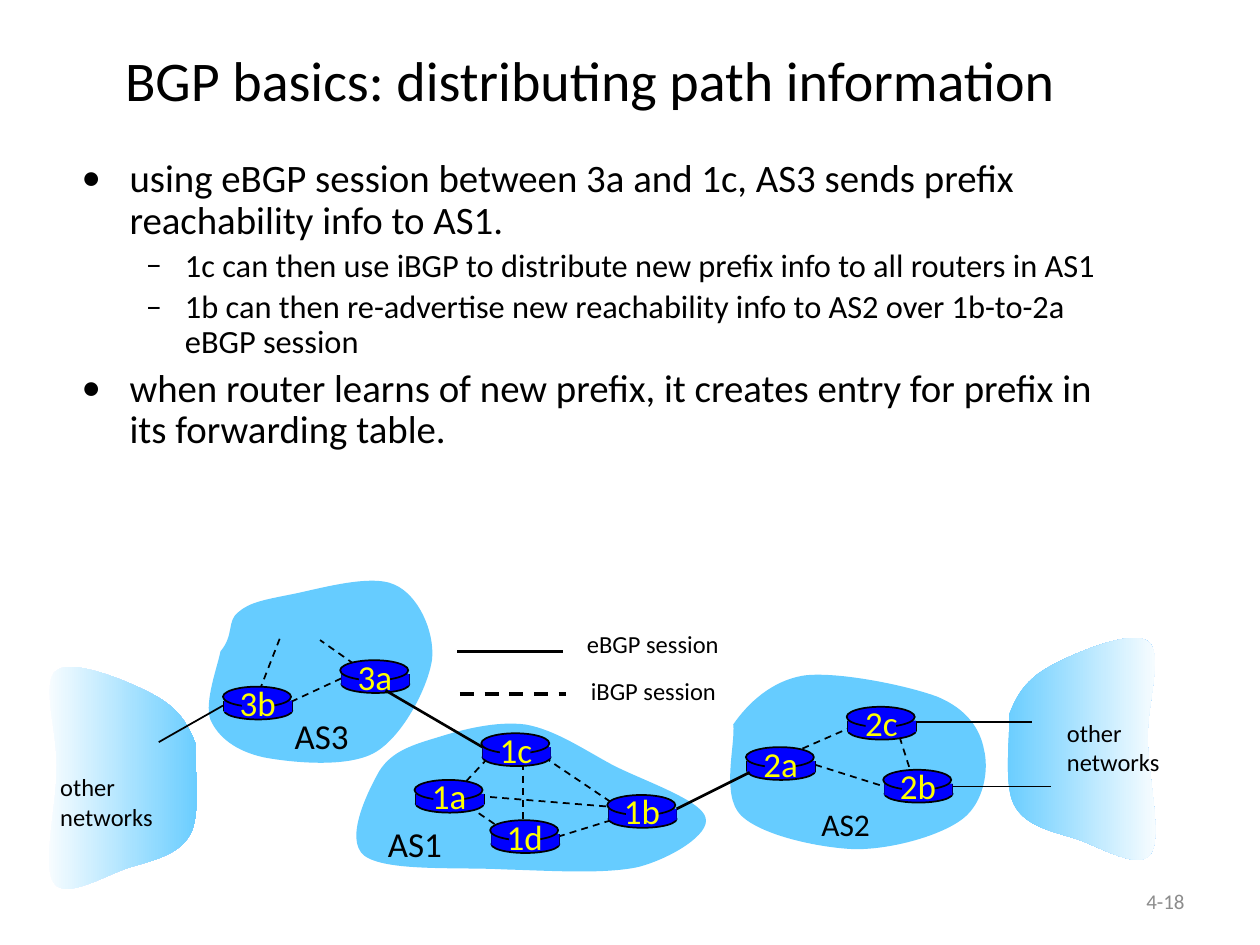
import pptx
import pptx.util
import pptx.dml.color
import pptx.enum.dml
import pptx.enum.shapes
import pptx.enum.text
import pptx.oxml
import pptx.oxml.ns

Inches, Pt = pptx.util.Inches, pptx.util.Pt
Shape = pptx.enum.shapes.MSO_SHAPE
Align = pptx.enum.text.PP_ALIGN
Anchor = pptx.enum.text.MSO_ANCHOR

FONT = "Calibri"
BLACK, WHITE, GREY, YELLOW = "000000", "FFFFFF", "8C8C8C", "FFFF00"
CLOUD_BLUE, ROUTER_BLUE = "66CCFF", "0000FF"

TITLE = "BGP basics: distributing path information"
PAGE_NUMBER = "4-18"
# level, wording
BULLETS = [
    (0, "using eBGP session between 3a and 1c, AS3 sends prefix reachability info to AS1."),
    (1, "1c can then use iBGP to distribute new prefix info to all routers in AS1"),
    (1, "1b can then re-advertise new reachability info to AS2 over 1b-to-2a eBGP session"),
    (0, "when router learns of new prefix, it creates entry for prefix in its forwarding table."),
]
# per level: size, left margin, hanging indent, bullet
LEVELS = [(22.2, 0.38, 0.38, "\u2022"), (18.5, 0.82, 0.31, "\u2013")]

# Each cloud is a closed chain of cubic curves: start, then control, control, end
OTHER_NETWORK = [
    (8.01, 5.67), (8.07, 5.51), (8.15, 5.39), (8.33, 5.29), (8.51, 5.19), (8.98, 4.99),
    (9.11, 5.09), (9.24, 5.18), (9.1, 5.59), (9.11, 5.87), (9.11, 6.16), (9.23, 6.65),
    (9.13, 6.78), (9.04, 6.91), (8.73, 6.72), (8.55, 6.66), (8.36, 6.6), (8.14, 6.56),
    (8.05, 6.39), (7.96, 6.23), (8.02, 5.82), (8.01, 5.67)]
AS_CLOUDS = {
    "AS2": [
        (5.82, 5.75), (5.93, 5.59), (6.12, 5.4), (6.39, 5.36), (6.66, 5.33), (7.2, 5.44),
        (7.44, 5.53), (7.68, 5.63), (7.78, 5.79), (7.81, 5.95), (7.85, 6.11), (7.81, 6.37),
        (7.64, 6.5), (7.47, 6.63), (7.09, 6.74), (6.79, 6.74), (6.5, 6.73), (6.04, 6.63),
        (5.88, 6.47), (5.72, 6.31), (5.84, 5.9), (5.82, 5.75)],
    "AS3": [
        (1.75, 5.17), (1.86, 5.04), (1.8, 4.93), (1.89, 4.86), (1.98, 4.78), (2.1, 4.76),
        (2.3, 4.72), (2.51, 4.68), (2.94, 4.55), (3.13, 4.64), (3.32, 4.72), (3.45, 5.01),
        (3.43, 5.23), (3.4, 5.45), (3.2, 5.84), (2.98, 5.97), (2.76, 6.1), (2.3, 6.05),
        (2.09, 6.01), (1.87, 5.96), (1.73, 5.85), (1.67, 5.71), (1.62, 5.57), (1.73, 5.28),
        (1.75, 5.17)],
    "AS1": [
        (3.01, 6.12), (3.11, 5.96), (3.28, 5.91), (3.48, 5.85), (3.67, 5.79), (3.94, 5.72),
        (4.17, 5.75), (4.4, 5.79), (4.62, 5.94), (4.86, 6.07), (5.09, 6.19), (5.57, 6.35),
        (5.6, 6.49), (5.64, 6.62), (5.33, 6.81), (5.07, 6.88), (4.8, 6.94), (4.36, 6.91),
        (4, 6.9), (3.64, 6.88), (3.06, 6.92), (2.89, 6.79), (2.73, 6.66), (2.92, 6.28),
        (3.01, 6.12)],
}
# text, left, top, width, height, size
LABELS = [
    ("AS3", 2.24, 5.62, 0.77, 0.43, 20), ("AS2", 6.42, 6.34, 0.71, 0.4, 18),
    ("AS1", 2.98, 6.48, 0.72, 0.43, 20),
    ("other\nnetworks", 8.37, 5.65, 1.03, 0.57, 14),
    ("other\nnetworks", 0.38, 6.08, 1.03, 0.57, 14),
    ("eBGP session", 4.56, 4.94, 1.37, 0.33, 14), ("iBGP session", 4.59, 5.32, 1.32, 0.33, 14),
]
# left and top of each router's upper disc
ROUTERS = {
    "3b": (1.77, 5.45), "3a": (2.7, 5.24), "1c": (3.82, 5.82), "1a": (3.29, 6.19),
    "1d": (3.89, 6.51), "1b": (4.82, 6.31), "2a": (5.92, 5.93), "2c": (6.72, 5.61),
    "2b": (7.01, 6.11)}
# x1, y1, x2, y2
IBGP_LINKS = [
    (2.31, 5.57, 2.74, 5.37), (2.81, 5.27, 2.54, 5.08), (2.22, 5.07, 2.06, 5.48),
    (3.87, 6.02, 3.7, 6.2), (4.15, 6.06, 4.15, 6.56), (4.32, 6.01, 4.87, 6.38),
    (4.85, 6.51, 4.43, 6.64), (4.81, 6.4, 3.82, 6.32), (3.72, 6.4, 3.94, 6.55),
    (6.28, 5.98, 6.76, 5.77), (6.47, 6.07, 7.01, 6.24), (7.14, 5.85, 7.22, 6.1)]
OUTSIDE_LINKS = [
    (7.26, 5.73, 8.19, 5.73, 0.75), (7.53, 6.24, 8.34, 6.24, 0.75), (1.77, 5.6, 1.26, 5.89, 1)]
EBGP_LINKS = [(3.06, 5.48, 3.83, 5.93), (5.37, 6.42, 5.95, 6.13)]


def color(value):
    """Turn a hex string into a colour."""
    return pptx.dml.color.RGBColor.from_string(value)


def drawing(tag, attributes=""):
    """Make an empty DrawingML element."""
    return pptx.oxml.parse_xml(
        "<a:%s %s %s/>" % (tag, pptx.oxml.ns.nsdecls("a"), attributes))


def add_text(parent, text, left, top, width, height, size, ink=BLACK, align=Align.LEFT,
             anchor=Anchor.TOP, wrap=False):
    """Add a text box and return its frame."""
    frame = parent.add_textbox(Inches(left), Inches(top), Inches(width), Inches(height)).text_frame
    frame.text = text
    frame.word_wrap = wrap
    frame.vertical_anchor = anchor
    if not wrap:
        frame.auto_size = pptx.enum.text.MSO_AUTO_SIZE.SHAPE_TO_FIT_TEXT
    for paragraph in frame.paragraphs:
        paragraph.alignment = align
        for run in paragraph.runs:
            run.font.name, run.font.size = FONT, Pt(size)
            run.font.color.rgb = color(ink)
    return frame


def add_line(parent, x1, y1, x2, y2, weight=1, dashed=False):
    """Draw a straight black line without shadow."""
    line = parent.add_connector(pptx.enum.shapes.MSO_CONNECTOR.STRAIGHT,
                                Inches(x1), Inches(y1), Inches(x2), Inches(y2))
    line.line.color.rgb = color(BLACK)
    line.line.width = Pt(weight)
    if dashed:
        line.line.dash_style = pptx.enum.dml.MSO_LINE.DASH
    line._element.spPr.append(drawing("effectLst"))


def add_part(parent, kind, left, top, width, height, outlined):
    """Add one blue piece of a router."""
    part = parent.add_shape(kind, Inches(left), Inches(top), Inches(width), Inches(height))
    part.shadow.inherit = False
    part.fill.solid()
    part.fill.fore_color.rgb = color(ROUTER_BLUE)
    if outlined:
        part.line.color.rgb = color(BLACK)
        part.line.width = Pt(1)
    else:
        part.line.fill.background()


def add_router(parent, name, left, top):
    """Build a grouped router disc with its name."""
    router = parent.add_group_shape().shapes
    wall = left + 0.01
    add_part(router, Shape.OVAL, wall, top + 0.12, 0.54, 0.14, True)
    for x in (wall, wall + 0.54):
        add_line(router, x, top + 0.11, x, top + 0.19)
    add_part(router, Shape.RECTANGLE, wall, top + 0.11, 0.54, 0.09, False)
    add_part(router, Shape.OVAL, left, top, 0.54, 0.16, True)
    add_part(router, Shape.RECTANGLE, left + 0.15, top + 0.02, 0.24, 0.21, False)
    label = add_text(router, name, left + 0.03, top - 0.09, 0.49, 0.44, 20, YELLOW, Align.CENTER)
    label.margin_left = label.margin_right = Inches(0.05)


def add_cloud(parent, curve, stops=None):
    """Trace a chain of cubic curves as a filled outline."""
    points = [(Inches(x), Inches(y)) for x, y in curve]
    builder = parent.build_freeform(*points[0], scale=1.0)
    builder.add_line_segments(points[1:], close=True)
    cloud = builder.convert_to_shape()
    segments = list(cloud._element.iter(pptx.oxml.ns.qn("a:lnTo")))
    for i in range(0, len(segments), 3):
        bend = drawing("cubicBezTo")
        segments[i].addprevious(bend)
        for segment in segments[i:i + 3]:
            bend.append(segment[0])
            segment.getparent().remove(segment)
    cloud.shadow.inherit = False
    cloud.line.fill.background()
    if stops:
        cloud.fill.gradient()
        cloud.fill.gradient_angle = 0
        for stop, value in zip(cloud.fill.gradient_stops, stops):
            stop.color.rgb = color(value)
    else:
        cloud.fill.solid()
        cloud.fill.fore_color.rgb = color(CLOUD_BLUE)


def add_bullets(parent):
    """Add the bulleted body text."""
    frame = add_text(parent, "\n".join(text for _, text in BULLETS),
                     0.55, 1.21, 8.5, 2.59, 22.2, wrap=True)
    for paragraph, (level, _) in zip(frame.paragraphs, BULLETS):
        size, margin, hanging, bullet = LEVELS[level]
        paragraph.level = level
        paragraph.line_spacing = 0.9
        paragraph.runs[0].font.size = Pt(size)
        properties = paragraph._p.get_or_add_pPr()
        properties.set("marL", str(Inches(margin)))
        properties.set("indent", str(-Inches(hanging)))
        before = drawing("spcBef")
        before.append(drawing("spcPct", 'val="20000"'))
        properties.append(before)
        properties.append(drawing("buFont", 'typeface="%s"' % FONT))
        properties.append(drawing("buChar", 'char="%s"' % bullet))


deck = pptx.Presentation()
deck.slide_width, deck.slide_height = Inches(10), Inches(7.5)
shapes = deck.slides.add_slide(deck.slide_layouts[6]).shapes

add_text(shapes, TITLE, 0.29, 0, 8.79, 1.25, 32, align=Align.CENTER,
         anchor=Anchor.MIDDLE, wrap=True)
add_bullets(shapes)
add_text(shapes, PAGE_NUMBER, 7.17, 6.95, 2.33, 0.4, 12, GREY, Align.RIGHT, Anchor.MIDDLE, True)

add_cloud(shapes, OTHER_NETWORK, (CLOUD_BLUE, WHITE))
add_cloud(shapes, [(9.56 - x, y + 0.23) for x, y in OTHER_NETWORK], (WHITE, CLOUD_BLUE))
for outline in AS_CLOUDS.values():
    add_cloud(shapes, outline)
for link in IBGP_LINKS:
    add_line(shapes, *link, dashed=True)
for link in OUTSIDE_LINKS:
    add_line(shapes, *link)
for router_name, corner in ROUTERS.items():
    add_router(shapes, router_name, *corner)
for link in EBGP_LINKS:
    add_line(shapes, *link, weight=1.5)
add_line(shapes, 3.63, 5.17, 4.47, 5.17, 2)
add_line(shapes, 3.65, 5.51, 4.49, 5.51, 2, dashed=True)
for label in LABELS:
    add_text(shapes, *label)

deck.save("out.pptx")
